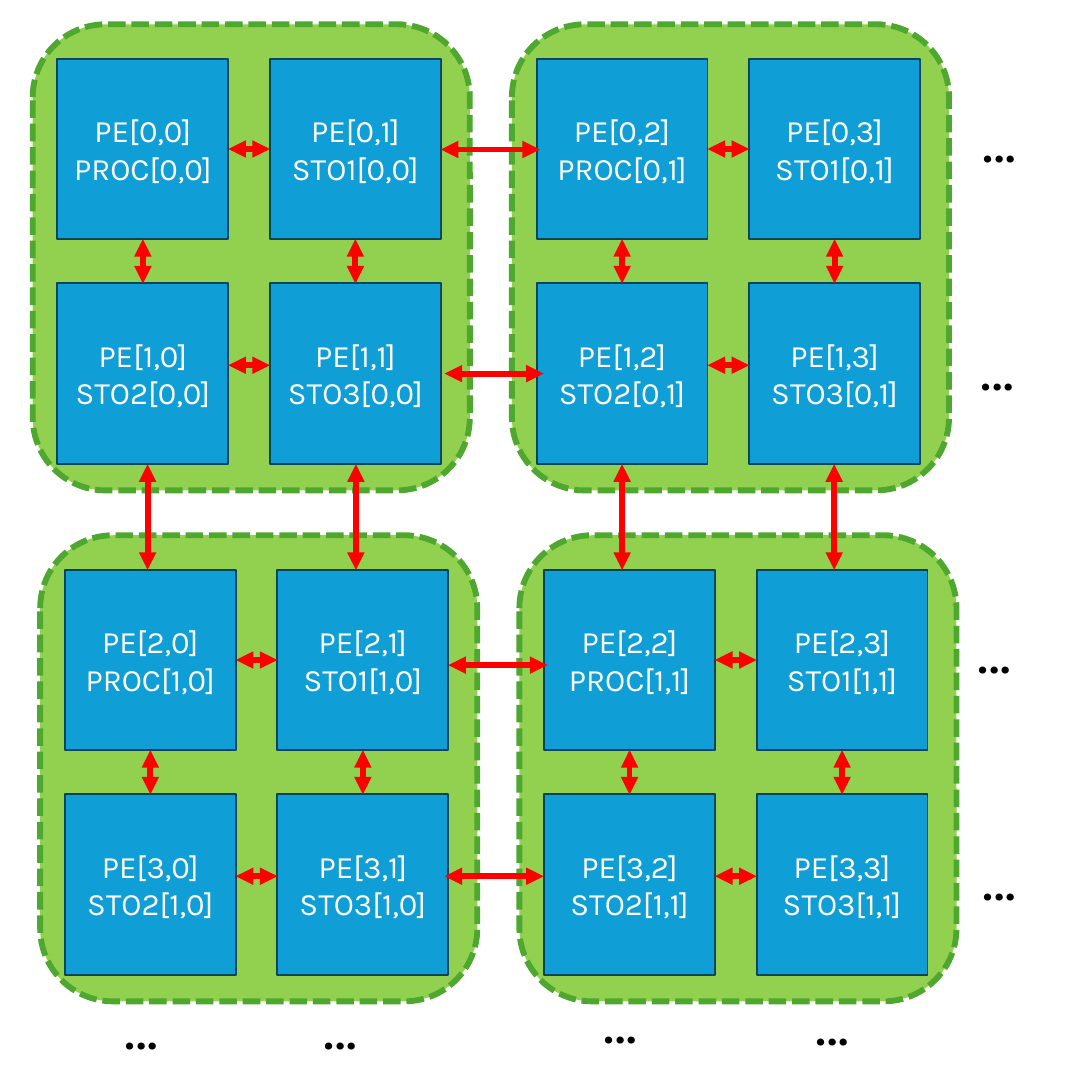
from itertools import product

from lxml.etree import SubElement
from pptx import Presentation
from pptx.dml.color import RGBColor
from pptx.enum.dml import MSO_LINE
from pptx.enum.shapes import MSO_CONNECTOR, MSO_SHAPE
from pptx.enum.text import MSO_ANCHOR, MSO_AUTO_SIZE, PP_ALIGN
from pptx.oxml.ns import qn
from pptx.util import Inches, Pt

COLORS = {
    "cluster": "92D050", "cluster_edge": "4EA72E",
    "pe": "0F9ED5", "pe_edge": "07455D",
    "link": "FF0000", "pe_text": "FFFFFF", "dots": "000000",
}
ROLES = [["PROC", "STO1"], ["STO2", "STO3"]]

SLIDE_SIZE = 11.69
CLUSTER_W, CLUSTER_H = 4.68, 4.99
CLUSTER_X, CLUSTER_Y = 0.35, 0.26
CLUSTER_DX, CLUSTER_DY = 5.13, 5.47
ROW_SHIFT = 0.08  # the lower clusters sit slightly to the right
PE_W, PE_H = 1.83, 1.93
PE_X, PE_Y = 0.265, 0.37
PE_DX, PE_DY = 2.275, 2.405
LINK_YS = (1.335, 3.65)  # horizontal links, from the cluster top

CLUSTER_LINKS_ACROSS = [(4.72, 1.6), (4.76, 4), (4.8, 7.12), (4.76, 9.38)]
ACROSS_LENGTH = 1.06
CLUSTER_LINKS_DOWN = [1.58, 3.81, 6.66, 8.93]
DOWN_TOP, DOWN_BOTTOM = 4.97, 6.1
DOTS = [(10.42, 1.02), (10.4, 3.46), (10.37, 6.49), (10.42, 8.92),
        (1.23, 10.52), (3.36, 10.52), (6.36, 10.45), (8.63, 10.48)]


class Diagram:
    """Draws the elements of the processing grid on one slide."""

    font = "Karla"

    def __init__(self, s):
        self.s = s

    def color(self, name):
        return RGBColor.from_string(COLORS[name])

    def style_text(self, p, size, color):
        for r in p.runs:
            r.font.name = self.font
            r.font.size = Pt(size)
            r.font.color.rgb = self.color(color)

    def box(self, kind, x, y, w, h, name, width):
        sp = self.s.shapes.add_shape(kind, Inches(x), Inches(y), Inches(w), Inches(h))
        sp.shadow.inherit = False
        sp.fill.solid()
        sp.fill.fore_color.rgb = self.color(name)
        sp.line.color.rgb = self.color(name + "_edge")
        sp.line.width = Pt(width)
        return sp

    def pe(self, x, y, text):
        sp = self.box(MSO_SHAPE.RECTANGLE, x, y, PE_W, PE_H, "pe", 1.5)
        tf = sp.text_frame
        tf.text = text
        tf.vertical_anchor = MSO_ANCHOR.MIDDLE
        for p in tf.paragraphs:
            p.alignment = PP_ALIGN.CENTER
            self.style_text(p, 24, "pe_text")

    def link(self, x1, y1, x2, y2):
        """Add a double-headed arrow."""
        cn = self.s.shapes.add_connector(
            MSO_CONNECTOR.STRAIGHT, Inches(x1), Inches(y1), Inches(x2), Inches(y2))
        cn.line.color.rgb = self.color("link")
        cn.line.width = Pt(4.5)
        ln = cn.line._get_or_add_ln()
        for end in ("a:headEnd", "a:tailEnd"):
            SubElement(ln, qn(end), type="triangle")
        SubElement(cn._element.spPr, qn("a:effectLst"))

    def cluster(self, row, col):
        """Add a cluster of four linked processing elements."""
        x = CLUSTER_X + col * CLUSTER_DX + row * ROW_SHIFT
        y = CLUSTER_Y + row * CLUSTER_DY
        sp = self.box(MSO_SHAPE.ROUNDED_RECTANGLE, x, y, CLUSTER_W, CLUSTER_H,
                      "cluster", 4.5)
        sp.line.dash_style = MSO_LINE.SQUARE_DOT
        sp.line._get_or_add_ln().find(qn("a:prstDash")).set("val", "sysDash")

        left, top = x + PE_X, y + PE_Y
        for i, j in product(range(2), repeat=2):
            self.pe(left + j * PE_DX, top + i * PE_DY,
                    f"PE[{2 * row + i},{2 * col + j}]\n{ROLES[i][j]}[{row},{col}]")
        for link_y in LINK_YS:
            self.link(left + PE_DX, y + link_y, left + PE_W, y + link_y)
        for j in range(2):
            center = left + j * PE_DX + PE_W / 2
            self.link(center, top + PE_DY, center, top + PE_H)

    def dots(self, x, y):
        tb = self.s.shapes.add_textbox(Inches(x), Inches(y), Inches(0.75), Inches(0.91))
        tf = tb.text_frame
        tf.word_wrap = False
        tf.auto_size = MSO_AUTO_SIZE.SHAPE_TO_FIT_TEXT
        tf.text = "…"
        self.style_text(tf.paragraphs[0], 48, "dots")


def main():
    prs = Presentation()
    prs.slide_width = prs.slide_height = Inches(SLIDE_SIZE)
    diagram = Diagram(prs.slides.add_slide(prs.slide_layouts[6]))

    for row, col in product(range(2), repeat=2):
        diagram.cluster(row, col)
    for x, y in CLUSTER_LINKS_ACROSS:
        diagram.link(x + ACROSS_LENGTH, y, x, y)
    for x in CLUSTER_LINKS_DOWN:
        diagram.link(x, DOWN_BOTTOM, x, DOWN_TOP)
    for x, y in DOTS:
        diagram.dots(x, y)

    prs.save("out.pptx")


if __name__ == "__main__":
    main()
